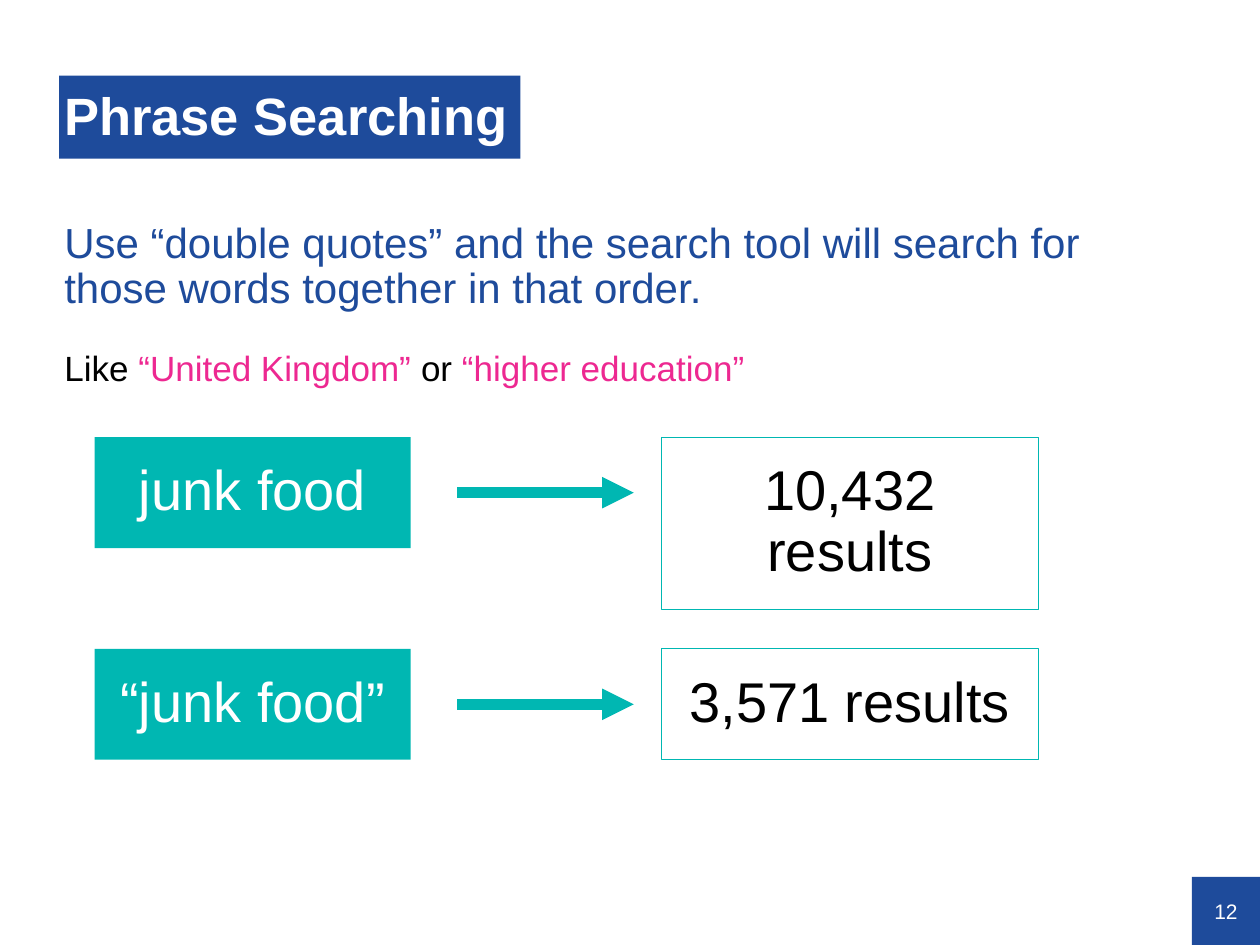
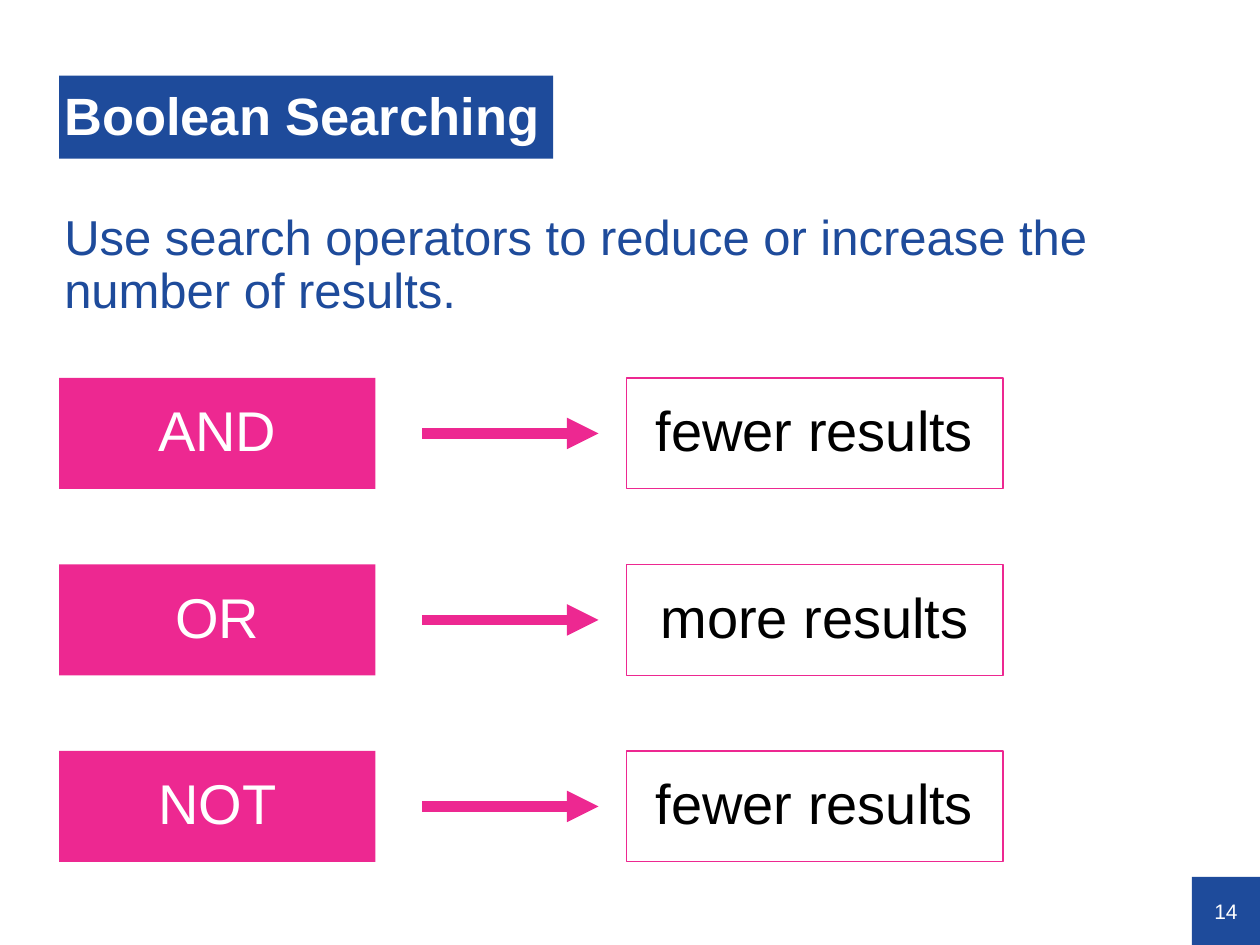
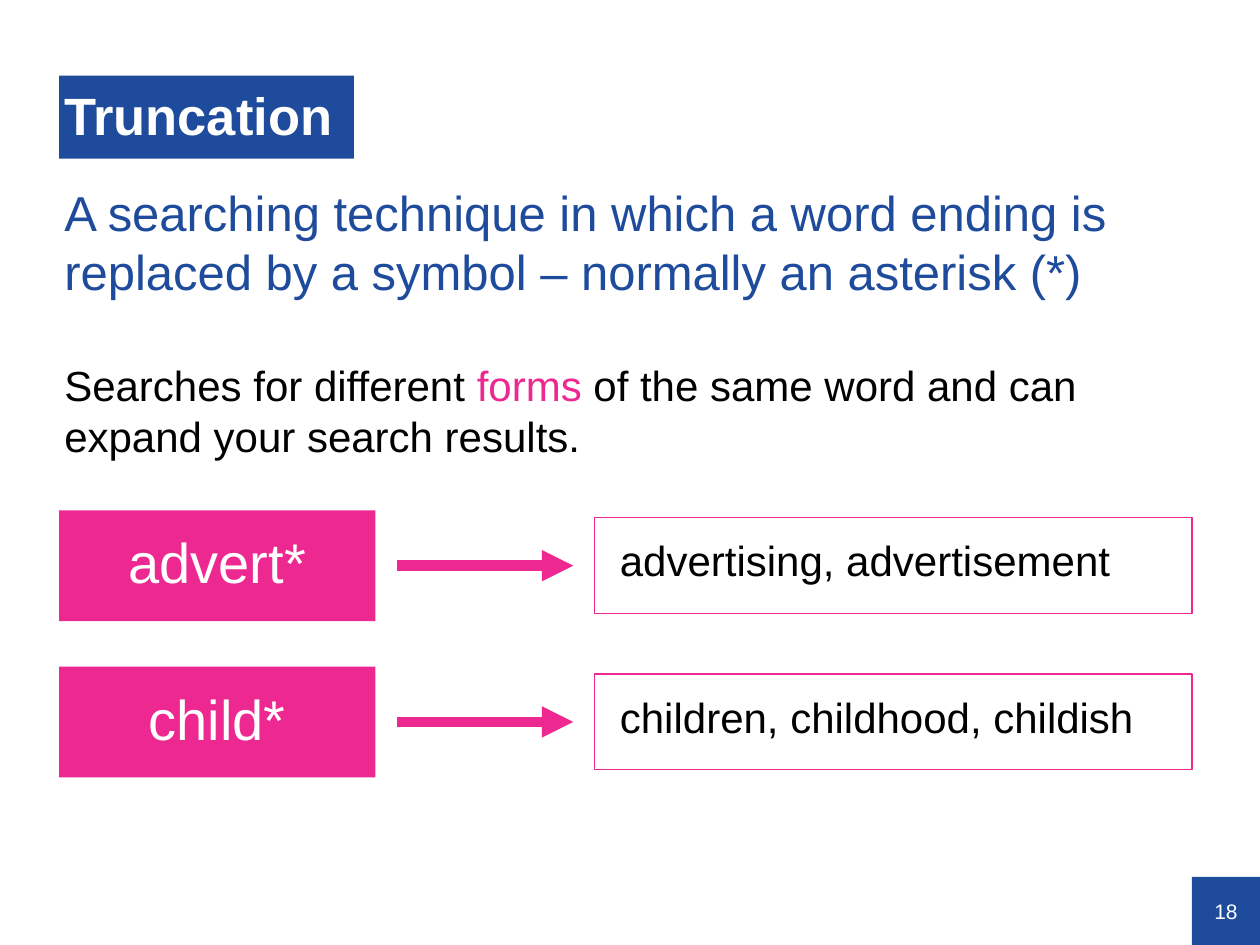
from dataclasses import dataclass

from lxml.etree import SubElement
from pptx import Presentation
from pptx.dml.color import RGBColor
from pptx.enum.shapes import MSO_CONNECTOR, MSO_SHAPE
from pptx.enum.text import MSO_ANCHOR, MSO_AUTO_SIZE, PP_ALIGN
from pptx.oxml.ns import qn
from pptx.util import Inches, Pt


@dataclass(frozen=True)
class Theme:
    font: str = "Arial"
    blue: str = "1E4B9B"
    teal: str = "00B7B2"
    pink: str = "ED2891"
    white: str = "FFFFFF"
    black: str = "000000"
    title: int = 30
    term: int = 32
    lead: int = 28
    body: int = 24
    example: int = 20
    number: int = 12
    border: float = 0.75
    arrow: int = 6
    margin: float = 0.47
    text_width: float = 8.99
    term_width: float = 2.51
    row_height: float = 0.88
    arrow_length: float = 1.4


THEME = Theme()


def set_attributes(target, values):
    for name, value in values.items():
        setattr(target, name, value)


class Deck:
    def __init__(self, theme):
        self.theme = theme
        self.file = Presentation()
        set_attributes(self.file, {"slide_width": Inches(10), "slide_height": Inches(7.5)})
        self.slide = None

    def start(self, title, title_width, number):
        """Open a slide with its page number and title band."""
        t = self.theme
        self.slide = self.file.slides.add_slide(self.file.slide_layouts[6])
        page = self.box(9.46, 6.96, 0.54, 0.54, t.blue)
        self.add_text(page, [[(number, t.number, t.white)]], inset=(0, 0, 0, 0),
                      anchor=MSO_ANCHOR.MIDDLE, align=PP_ALIGN.CENTER)
        band = self.box(t.margin, 0.6, title_width, 0.66, t.blue)
        self.add_text(band, [[(title, t.title, t.white)]], inset=(0.04, 0.02, 0, 0),
                      anchor=MSO_ANCHOR.MIDDLE, spacing=0.9, bold=True)

    def box(self, left, top, width, height, fill, border=None):
        shape = self.slide.shapes.add_shape(
            MSO_SHAPE.RECTANGLE, Inches(left), Inches(top), Inches(width), Inches(height))
        shape.shadow.inherit = False
        shape.fill.solid()
        shape.fill.fore_color.rgb = RGBColor.from_string(fill)
        if border:
            shape.line.color.rgb = RGBColor.from_string(border)
            shape.line.width = Pt(self.theme.border)
        else:
            shape.line.fill.background()
        return shape

    def add_text(self, shape, paragraphs, inset, anchor=MSO_ANCHOR.TOP, align=PP_ALIGN.LEFT,
                 spacing=1.0, before=(0,), bold=False, fit=MSO_AUTO_SIZE.NONE):
        """Fill a shape; each paragraph is a list of (text, size, colour)."""
        frame = shape.text_frame
        sides = ("margin_left", "margin_top", "margin_right", "margin_bottom")
        set_attributes(frame, {"word_wrap": True, "auto_size": fit, "vertical_anchor": anchor,
                               **dict(zip(sides, map(Inches, inset)))})
        for index, (runs, gap) in enumerate(zip(paragraphs, before)):
            paragraph = frame.add_paragraph() if index else frame.paragraphs[0]
            set_attributes(paragraph, {"alignment": align, "line_spacing": spacing,
                                       "space_before": Pt(gap)})
            for text, size, colour in runs:
                run = paragraph.add_run()
                run.text = text
                set_attributes(run.font, {"name": self.theme.font, "size": Pt(size), "bold": bold})
                run.font.color.rgb = RGBColor.from_string(colour)

    def body(self, top, height, paragraphs, spacing=0.9, gap=0):
        t = self.theme
        area = self.slide.shapes.add_textbox(
            Inches(t.margin), Inches(top), Inches(t.text_width), Inches(height))
        self.add_text(area, paragraphs, inset=(0.04,) * 4, spacing=spacing, before=(10, gap))

    def panel(self, left, top, width, height, text, size, colour, fill, border=None,
              align=PP_ALIGN.CENTER):
        shape = self.box(left, top, width, height, fill, border)
        self.add_text(shape, [[(text, size, colour)]], inset=(0.2,) * 4, align=align,
                      spacing=0.9, before=(10,), fit=MSO_AUTO_SIZE.SHAPE_TO_FIT_TEXT)

    def arrow(self, left, middle, colour):
        line = self.slide.shapes.add_connector(
            MSO_CONNECTOR.STRAIGHT, Inches(left), Inches(middle),
            Inches(left + self.theme.arrow_length), Inches(middle))
        line.line.color.rgb = RGBColor.from_string(colour)
        line.line.width = Pt(self.theme.arrow)
        properties = line._element.spPr
        SubElement(properties.find(qn("a:ln")), qn("a:tailEnd"), type="triangle")
        SubElement(properties, qn("a:effectLst"))

    def rows(self, pairs, left, top, pitch, colour, arrow_offset=2.88, result_offset=4.5,
             result_width=2.99, result_height=0.88, result_size=THEME.term,
             align=PP_ALIGN.CENTER):
        """Stack rows of search term, arrow and result; a result has a line count."""
        t = self.theme
        for index, (term, result, lines) in enumerate(pairs):
            row_top = top + index * pitch
            self.panel(left, row_top, t.term_width, t.row_height, term, t.term, t.white, colour)
            self.arrow(left + arrow_offset, row_top + t.row_height / 2, colour)
            self.panel(left + result_offset, row_top + (t.row_height - result_height) / 2,
                       result_width, result_height + (lines - 1) * 0.49,
                       result, result_size, t.black, t.white, colour, align)


deck = Deck(THEME)

# Phrase searching
deck.start("Phrase Searching", 3.66, "12")
deck.body(1.72, 1.28, [
    [("Use “double quotes” and the search tool will search for those words together "
      "in that order.", THEME.body, THEME.blue)],
    [("Like ", THEME.example, THEME.black),
     ("“United Kingdom” ", THEME.example, THEME.pink),
     ("or ", THEME.example, THEME.black),
     ("“higher education”", THEME.example, THEME.pink)],
], gap=22)
deck.rows([("junk food", "10,432 results", 2), ("“junk food”", "3,571 results", 1)],
          left=0.75, top=3.47, pitch=1.68, colour=THEME.teal)

# Boolean searching
deck.start("Boolean Searching", 3.92, "14")
deck.body(1.65, 0.95, [
    [("Use search operators to reduce or increase the number of results.",
      THEME.lead, THEME.blue)],
])
deck.rows([("AND", "fewer results", 1), ("OR", "more results", 1), ("NOT", "fewer results", 1)],
          left=THEME.margin, top=3, pitch=1.48, colour=THEME.pink)

# Truncation
deck.start("Truncation", 2.34, "18")
deck.body(1.41, 5.55, [
    [("A searching technique in which a word ending is replaced by a symbol – "
      "normally an asterisk (*)", THEME.lead, THEME.blue)],
    [("Searches for different ", THEME.body, THEME.black),
     ("forms ", THEME.body, THEME.pink),
     ("of the same word and can expand your search results.", THEME.body, THEME.black)],
], spacing=1.0, gap=34)
deck.rows([("advert*", "advertising, advertisement", 1),
           ("child*", "children, childhood, childish", 1)],
          left=THEME.margin, top=4.05, pitch=1.24, colour=THEME.pink,
          arrow_offset=2.68, result_offset=4.25, result_width=4.74, result_height=0.76,
          result_size=THEME.body, align=PP_ALIGN.LEFT)

deck.file.save("out.pptx")
